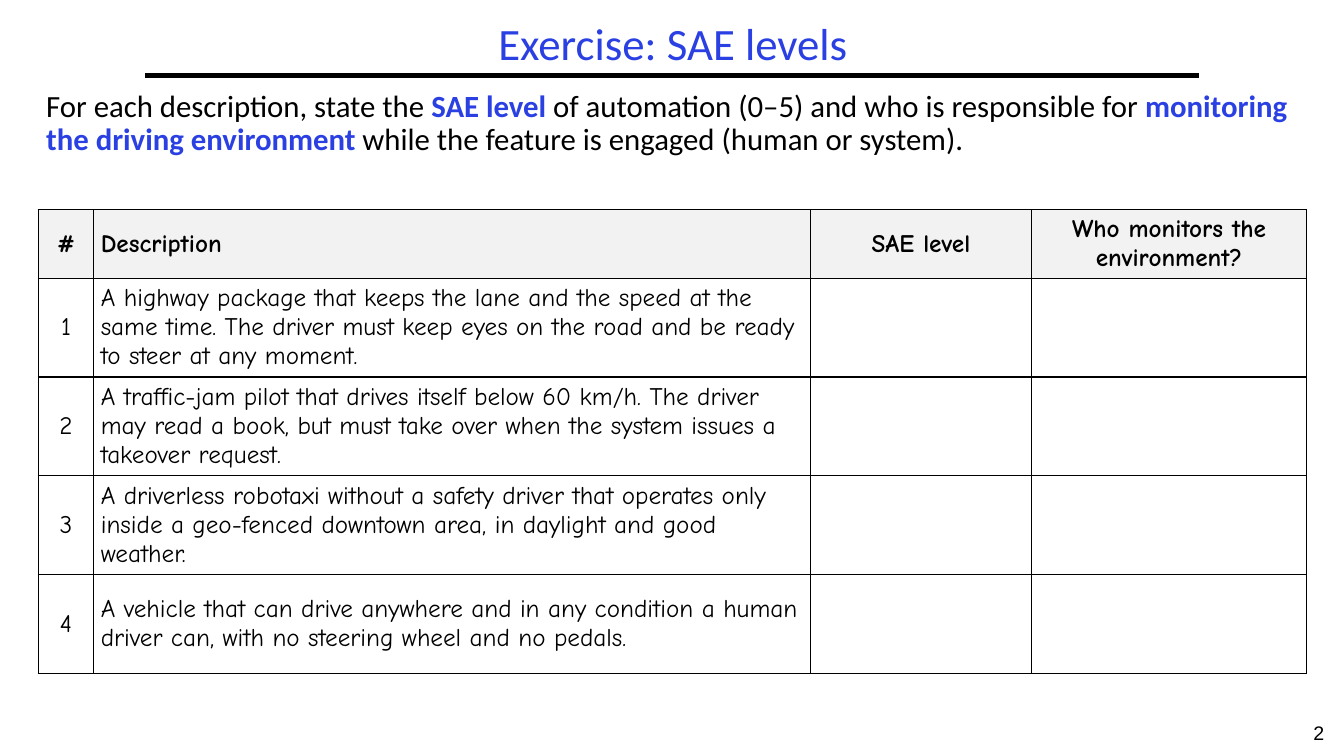
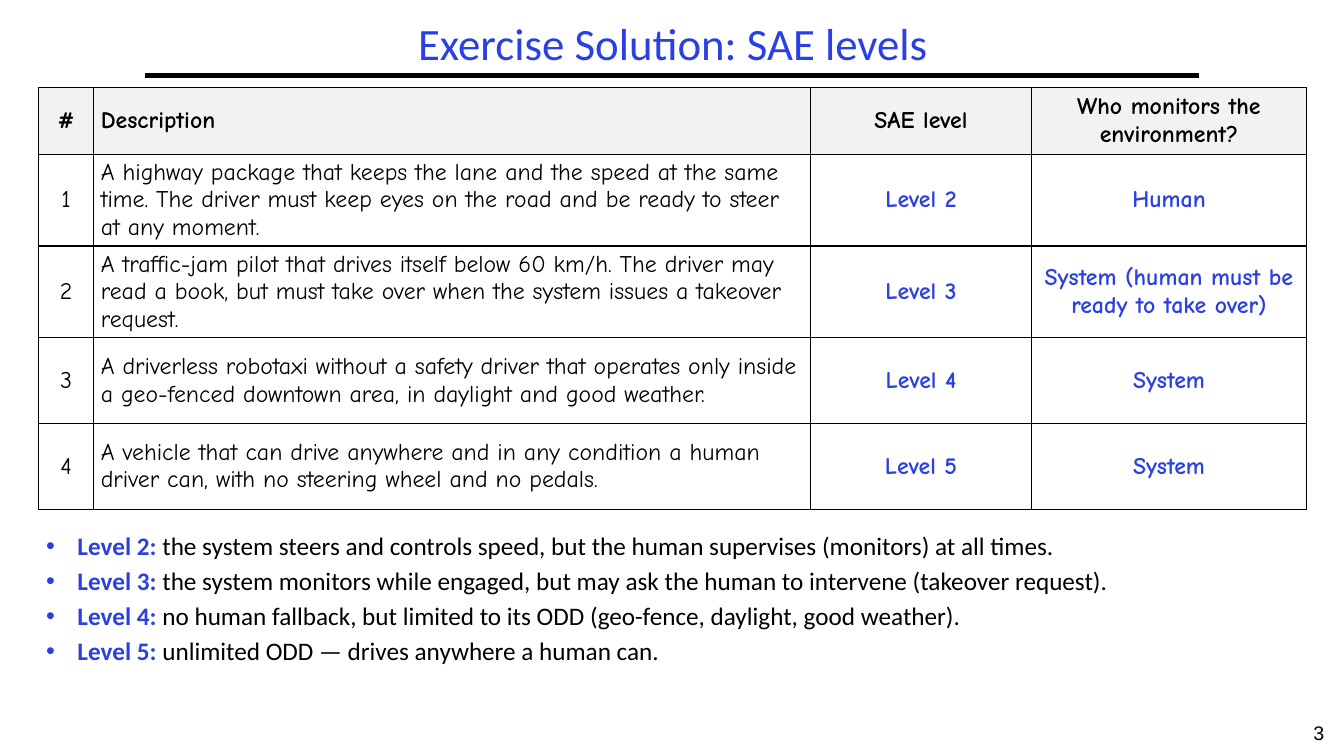
"""Build an SAE levels exercise slide and its solution slide."""
import pptx
import pptx.dml.color
import pptx.enum.shapes
import pptx.enum.text
import pptx.oxml
import pptx.oxml.ns
import pptx.util

Inches = pptx.util.Inches
Pt = pptx.util.Pt
RGB = pptx.dml.color.RGBColor
ALIGN = pptx.enum.text.PP_ALIGN
MIDDLE = pptx.enum.text.MSO_ANCHOR.MIDDLE

BLUE = RGB(0x2A, 0x40, 0xE2)
BLACK = RGB(0, 0, 0)
HEADER_FILL = RGB(0xF2, 0xF2, 0xF2)
BODY_FONT, TABLE_FONT, NUMBER_FONT = "Calibri", "Comic Neue", "Arial"

COLUMN_WIDTHS = [0.55, 7.11, 2.19, 2.73]
HEADERS = ["#", "Description", "SAE level", "Who monitors the environment?"]
DESCRIPTIONS = [
    "A highway package that keeps the lane and the speed at the same time. "
    "The driver must keep eyes on the road and be ready to steer at any moment.",
    "A traffic-jam pilot that drives itself below 60 km/h. The driver may read a book, "
    "but must take over when the system issues a takeover request.",
    "A driverless robotaxi without a safety driver that operates only inside "
    "a geo-fenced downtown area, in daylight and good weather.",
    "A vehicle that can drive anywhere and in any condition a human driver can, "
    "with no steering wheel and no pedals.",
]
NO_ANSWERS = [("", "")] * len(DESCRIPTIONS)
ANSWERS = [
    ("Level 2", "Human"),
    ("Level 3", "System (human must be ready to take over)"),
    ("Level 4", "System"),
    ("Level 5", "System"),
]
EXPLANATIONS = [
    ("Level 2:", " the system steers and controls speed, but the human supervises (monitors) at all times."),
    ("Level 3:", " the system monitors while engaged, but may ask the human to intervene (takeover request)."),
    ("Level 4:", " no human fallback, but limited to its ODD (geo-fence, daylight, good weather)."),
    ("Level 5:", " unlimited ODD — drives anywhere a human can."),
]
SLIDES = [
    {
        "title": "Exercise: SAE levels",
        "number": 2,
        "answers": NO_ANSWERS,
        "table": {"top": 2.08, "header": 0.68, "row": 0.98, "size": 18},
        "body": {"top": 0.85, "height": 1.09, "size": 22, "bullets": False},
        "paragraphs": [[
            ("For each description, state the ", False),
            ("SAE level", True),
            (" of automation (0–5) and who is responsible for ", False),
            ("monitoring the driving environment", True),
            (" while the feature is engaged (human or system).", False),
        ]],
    },
    {
        "title": "Exercise Solution: SAE levels",
        "number": 3,
        "answers": ANSWERS,
        "table": {"top": 0.87, "header": 0.66, "row": 0.85, "size": 17},
        "body": {"top": 5.25, "height": 1.86, "size": 18, "bullets": True},
        "paragraphs": [[(level, True), (reason, False)] for level, reason in EXPLANATIONS],
    },
]


def add_xml(parent, xml, index=None):
    element = pptx.oxml.parse_xml(xml.replace(">", f" {pptx.oxml.ns.nsdecls('a')}>", 1)
                                  if "/>" not in xml.split(">", 1)[0] + ">"
                                  else xml.replace("/>", f" {pptx.oxml.ns.nsdecls('a')}/>", 1))
    parent.insert(len(parent) if index is None else index, element)


def add_bullet(p):
    pPr = p._p.get_or_add_pPr()
    pPr.set("marL", str(Inches(0.31)))
    pPr.set("indent", str(-Inches(0.31)))
    add_xml(pPr, f'<a:buClr><a:srgbClr val="{BLUE}"/></a:buClr>')
    add_xml(pPr, '<a:buFont typeface="Arial"/>')
    add_xml(pPr, '<a:buChar char="•"/>')


def write(tf, paragraphs, size, font=BODY_FONT, color=BLACK, bold=False,
          align=ALIGN.LEFT, line_spacing=1.0, bullets=False):
    """Write text, or paragraphs of (text, is key term) runs, into a text frame."""
    if isinstance(paragraphs, str):
        paragraphs = [[(paragraphs, False)]]
    tf.word_wrap = True
    for i, runs in enumerate(paragraphs):
        p = tf.add_paragraph() if i else tf.paragraphs[0]
        if bullets:
            add_bullet(p)
        p.alignment = align
        p.line_spacing = line_spacing
        p.space_before = Pt(0.3 * size if i else 0)
        p.font.size = Pt(size)
        for text, key in runs:
            r = p.add_run()
            r.text = text
            r.font.name = font
            r.font.size = Pt(size)
            r.font.bold = bold or key
            r.font.color.rgb = BLUE if key else color


def add_frame(s, title, number):
    """Add the title, the rule below it and the slide number."""
    sp = s.shapes.title
    sp.left, sp.top, sp.width, sp.height = map(Inches, (1.44, 0.17, 10.47, 0.58))
    sp.text_frame.vertical_anchor = MIDDLE
    write(sp.text_frame, title, size=32, color=BLUE, align=ALIGN.CENTER, line_spacing=0.9)

    rule = s.shapes.add_connector(pptx.enum.shapes.MSO_CONNECTOR.STRAIGHT,
                                  Inches(1.44), Inches(0.75), Inches(11.89), Inches(0.75))
    rule.line.color.rgb = BLACK
    rule.line.width = Pt(3)
    add_xml(rule._element.spPr, "<a:effectLst/>")

    sp = s.shapes.add_textbox(Inches(12.83), Inches(7.1), Inches(0.5), Inches(0.4))
    write(sp.text_frame, str(number), size=14, font=NUMBER_FONT, align=ALIGN.CENTER)


def add_body(s, paragraphs, top, height, size, bullets):
    sp = s.shapes.add_textbox(Inches(0.36), Inches(top), Inches(12.58), Inches(height))
    write(sp.text_frame, paragraphs, size=size, line_spacing=0.9, bullets=bullets)


def format_cell(cell, is_header):
    cell.vertical_anchor = MIDDLE
    cell.margin_left = cell.margin_right = Inches(0.07)
    cell.margin_top = cell.margin_bottom = Inches(0.03)
    if is_header:
        cell.fill.solid()
        cell.fill.fore_color.rgb = HEADER_FILL
    else:
        cell.fill.background()
    for i, side in enumerate("LRTB"):
        add_xml(cell._tc.get_or_add_tcPr(),
                f'<a:ln{side} w="{Pt(1)}"><a:solidFill><a:srgbClr val="{BLACK}"/></a:solidFill></a:ln{side}>', i)


def add_level_table(s, answers, top, header, row, size):
    rows = [HEADERS] + [[str(i), description, *answer]
                        for i, (description, answer) in enumerate(zip(DESCRIPTIONS, answers), 1)]
    heights = [header] + [row] * len(DESCRIPTIONS)
    table = s.shapes.add_table(len(rows), len(HEADERS), Inches(0.38), Inches(top),
                               Inches(sum(COLUMN_WIDTHS)), Inches(sum(heights))).table
    table.horz_banding = False
    for column, width in zip(table.columns, COLUMN_WIDTHS):
        column.width = Inches(width)
    for i, (values, height) in enumerate(zip(rows, heights)):
        table.rows[i].height = Inches(height)
        for j, value in enumerate(values):
            cell = table.cell(i, j)
            is_header, is_answer = i == 0, i > 0 and j > 1
            format_cell(cell, is_header)
            write(cell.text_frame, value, size=size, font=TABLE_FONT,
                  color=BLUE if is_answer else BLACK, bold=is_header or is_answer,
                  align=ALIGN.LEFT if j == 1 else ALIGN.CENTER)


def main():
    prs = pptx.Presentation()
    prs.slide_width, prs.slide_height = Inches(13.33), Inches(7.5)
    title_only = prs.slide_layouts.get_by_name("Title Only")
    for content in SLIDES:
        s = prs.slides.add_slide(title_only)
        add_frame(s, content["title"], content["number"])
        add_body(s, content["paragraphs"], **content["body"])
        add_level_table(s, content["answers"], **content["table"])
    prs.save("out.pptx")


if __name__ == "__main__":
    main()
